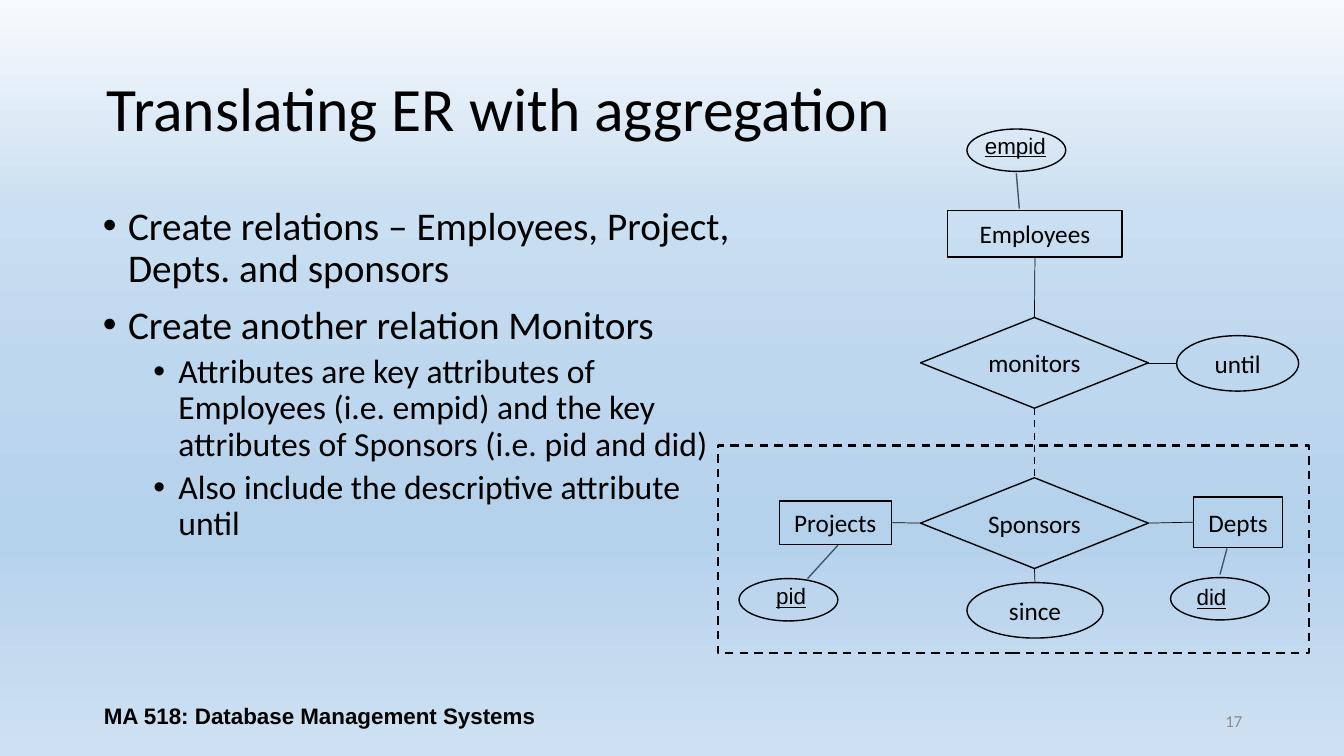
from lxml.etree import SubElement
from pptx import Presentation
from pptx.dml.color import RGBColor
from pptx.enum.dml import MSO_LINE
from pptx.enum.shapes import MSO_CONNECTOR, MSO_SHAPE
from pptx.enum.text import MSO_ANCHOR, MSO_AUTO_SIZE, PP_ALIGN
from pptx.oxml.ns import qn
from pptx.util import Inches, Pt

BLACK, SLATE, GRAY = "000000", "44546A", "8C8C8C"
SKY = [(0, "F7FAFD"), (28, "CADFF1"), (49, "BDD7EE"), (71, "B5D2EC"), (100, "CEE1F2")]
TOP, LEFT, BOTTOM, RIGHT = range(4)

BULLETS = [
    (0, "Create relations – Employees, Project, Depts. and sponsors"),
    (0, "Create another relation Monitors"),
    (1, "Attributes are key attributes of Employees (i.e. empid) and the key "
        "attributes of Sponsors (i.e. pid and did)"),
    (1, "Also include the descriptive attribute until"),
]
# Indent, text size and space before for each bullet level
LEVELS = [(0.25, 28, 10), (0.75, 24, 5)]

NODES = [
    ("Employees", MSO_SHAPE.RECTANGLE, (9.4, 2.09, 1.73, 0.46)),
    ("Projects", MSO_SHAPE.RECTANGLE, (7.73, 4.97, 1.11, 0.43)),
    ("Depts", MSO_SHAPE.RECTANGLE, (11.84, 4.93, 0.88, 0.5)),
    ("monitors", MSO_SHAPE.DIAMOND, (9.13, 3.15, 2.26, 0.9)),
    ("Sponsors", MSO_SHAPE.DIAMOND, (9.13, 4.74, 2.26, 0.9)),
    ("until", MSO_SHAPE.OVAL, (11.67, 3.33, 1.21, 0.55)),
    ("since", MSO_SHAPE.OVAL, (9.59, 5.78, 1.35, 0.55)),
]
# Key attribute: oval corner, label box, link start and end
KEYS = [
    ("empid", (9.59, 1.28), (9.67, 1.26, 0.81, 0.37), (10.08, 1.72), (10.11, 2.07)),
    ("pid", (7.33, 5.74), (7.6, 5.73, 0.5, 0.37), (8.01, 5.74), (8.31, 5.41)),
    ("did", (11.61, 5.73), (11.77, 5.74, 0.5, 0.37), (12.1, 5.7), (12.17, 5.44)),
]


def color(value):
    """Turn a hex string into a colour."""
    return RGBColor.from_string(value)


def inches(values):
    """Turn numbers into lengths."""
    return [Inches(value) for value in values]


def add_span(para, text, size, font="Calibri", ink=BLACK, bold=False, underline=False):
    """Add one formatted run to a paragraph."""
    span = para.add_run()
    span.text = text
    span.font.size = Pt(size)
    span.font.name = font
    span.font.color.rgb = color(ink)
    span.font.bold = bold
    span.font.underline = underline


def paint_background(page):
    """Fill the page with the vertical sky gradient."""
    fill = page.background.fill
    fill.gradient()
    fill.gradient_angle = 270
    stops = next(page.background._cSld.iter(qn("a:gsLst")))
    for stop in list(stops):
        stops.remove(stop)
    for percent, value in SKY:
        stop = SubElement(stops, qn("a:gs"), pos=str(percent * 1000))
        SubElement(stop, qn("a:srgbClr"), val=value)


def place(holder, at, anchor):
    """Move a placeholder and return its text frame."""
    holder.left, holder.top, holder.width, holder.height = inches(at)
    frame = holder.text_frame
    frame.auto_size = MSO_AUTO_SIZE.NONE
    frame.word_wrap = True
    frame.vertical_anchor = anchor
    return frame


def add_title(page, text):
    """Write the page title."""
    frame = place(page.shapes.title, (0.96, 0.38, 11.5, 1.45), MSO_ANCHOR.MIDDLE)
    para = frame.paragraphs[0]
    para.alignment = PP_ALIGN.LEFT
    para.line_spacing = 0.9
    add_span(para, text, 44)


def add_bullets(page):
    """Write the two-level list in the body placeholder."""
    frame = place(page.placeholders[1], (0.92, 2, 6.53, 4.76), MSO_ANCHOR.TOP)
    for number, (level, text) in enumerate(BULLETS):
        para = frame.add_paragraph() if number else frame.paragraphs[0]
        indent, size, before = LEVELS[level]
        para.level = level
        para.line_spacing = 0.9
        para.space_before = Pt(before)
        props = para._p.get_or_add_pPr()
        props.set("marL", str(Inches(indent)))
        props.set("indent", str(-Inches(0.25)))
        SubElement(props, qn("a:buFont"), typeface="Arial")
        SubElement(props, qn("a:buChar"), char="•")
        add_span(para, text, size)


def add_label(page, at, text, size, align=PP_ALIGN.LEFT, anchor=MSO_ANCHOR.TOP,
              wrap=True, **style):
    """Add a text box holding one line."""
    box = page.shapes.add_textbox(*inches(at))
    box.text_frame.word_wrap = wrap
    box.text_frame.vertical_anchor = anchor
    para = box.text_frame.paragraphs[0]
    para.alignment = align
    add_span(para, text, size, **style)


def add_outline(page, kind, at, width=1):
    """Add an unfilled shape with a black outline."""
    shape = page.shapes.add_shape(kind, *inches(at))
    shape.shadow.inherit = False
    shape.fill.background()
    shape.line.color.rgb = color(BLACK)
    shape.line.width = Pt(width)
    return shape


def add_node(page, name, kind, at):
    """Add a labelled entity, relationship or attribute."""
    node = add_outline(page, kind, at)
    frame = node.text_frame
    frame.margin_left = frame.margin_right = 0
    frame.margin_top = frame.margin_bottom = 0
    frame.vertical_anchor = MSO_ANCHOR.MIDDLE
    para = frame.paragraphs[0]
    para.alignment = PP_ALIGN.CENTER
    add_span(para, name, 18)
    return node


def add_link(page, start=(0, 0), end=(0, 0), ink=BLACK, width=0.5):
    """Add a straight line between two points."""
    link = page.shapes.add_connector(MSO_CONNECTOR.STRAIGHT, *inches(start + end))
    link.line.color.rgb = color(ink)
    link.line.width = Pt(width)
    SubElement(link._element.spPr, qn("a:effectLst"))
    return link


def join(page, first, first_side, second, second_side, width=0.5):
    """Glue a line to the sides of two nodes."""
    link = add_link(page, width=width)
    link.begin_connect(first, first_side)
    link.end_connect(second, second_side)
    return link


def add_key(page, name, corner, label, start, end):
    """Add an underlined key attribute with its link."""
    add_outline(page, MSO_SHAPE.OVAL, corner + (0.98, 0.42))
    add_label(page, label, name, 16, wrap=False, font="Arial", underline=True)
    add_link(page, start, end, SLATE, 1)


def add_diagram(page):
    """Draw the ER diagram with its aggregation frame."""
    nodes = {name: add_node(page, name, kind, at) for name, kind, at in NODES}
    monitors, sponsors = nodes["monitors"], nodes["Sponsors"]
    join(page, nodes["Employees"], BOTTOM, monitors, TOP)
    join(page, nodes["Projects"], RIGHT, sponsors, LEFT)
    join(page, sponsors, RIGHT, nodes["Depts"], LEFT)
    join(page, sponsors, BOTTOM, nodes["since"], TOP)
    add_link(page, (11.39, 3.6), (11.67, 3.6))
    aggregate = join(page, monitors, BOTTOM, sponsors, TOP, 1.25)
    border = add_outline(page, MSO_SHAPE.RECTANGLE, (7.12, 4.42, 5.86, 2.06), 1.5)
    for dashed in (aggregate, border):
        dashed.line.dash_style = MSO_LINE.DASH
    for key in KEYS:
        add_key(page, *key)


def main():
    """Build and save the deck."""
    deck = Presentation()
    deck.slide_width, deck.slide_height = Inches(13.33), Inches(7.5)
    page = deck.slides.add_slide(deck.slide_layouts[1])
    paint_background(page)
    add_title(page, "Translating ER with aggregation")
    add_bullets(page)
    add_label(page, (9.42, 6.95, 3, 0.4), "17", 12, PP_ALIGN.RIGHT,
              MSO_ANCHOR.MIDDLE, ink=GRAY)
    add_label(page, (0.92, 6.9, 4.5, 0.4), "MA 518: Database Management Systems", 16,
              PP_ALIGN.CENTER, MSO_ANCHOR.MIDDLE, font="Arial", bold=True)
    add_diagram(page)
    deck.save("out.pptx")


main()
